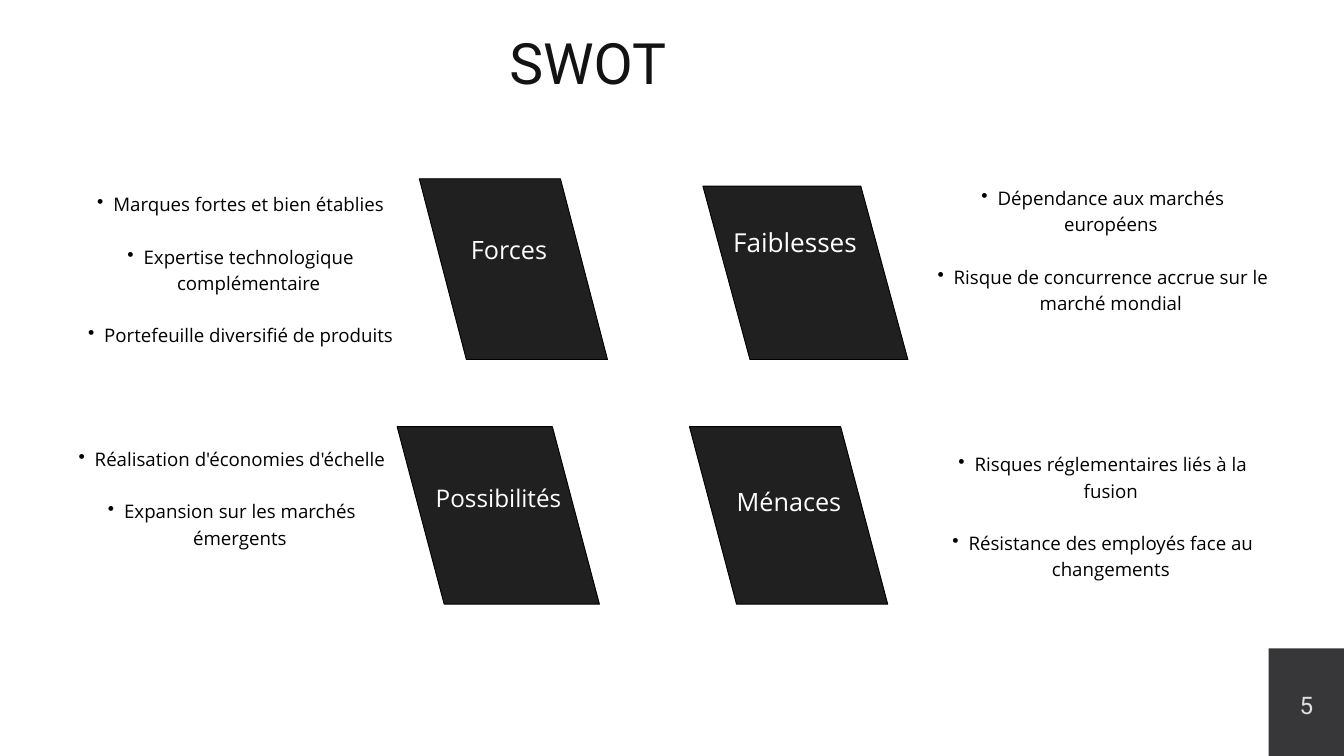
from lxml import etree
from pptx import Presentation
from pptx.dml.color import RGBColor
from pptx.enum.shapes import MSO_SHAPE
from pptx.enum.text import MSO_ANCHOR, PP_ALIGN
from pptx.oxml.ns import qn
from pptx.util import Inches, Pt

RECTANGLE = MSO_SHAPE.RECTANGLE
LEFT, CENTER = PP_ALIGN.LEFT, PP_ALIGN.CENTER
TOP, MIDDLE = MSO_ANCHOR.TOP, MSO_ANCHOR.MIDDLE

COLORS = {
    "tile": "202020",
    "outline": "000000",
    "label": "FFFFFF",
    "body": "000000",
    "title": "131313",
    "corner": "373638",
    "number": "DDDFE1",
}
COLUMNS, ROWS = 20, 11.25
SLANT = 0.7
BULLET_LEADING = 28
LABEL_LEADING = 1.4

QUADRANTS = [
    {
        "tile": (6.24, 2.66, 2.8, 2.69),
        "label": ("Forces", 27, (6.68, 3.41, 1.79, 0.51)),
        "list": (0.89, 2.82, 5.15, 3.26),
        "points": [
            "Marques fortes et bien établies",
            "Expertise technologique complémentaire",
            "Portefeuille diversifié de produits",
        ],
    },
    {
        "tile": (10.46, 2.77, 3.05, 2.58),
        "label": ("Faiblesses", 28, (10.78, 3.29, 2.1, 0.53)),
        "list": (13.72, 2.73, 5.15, 2.88),
        "points": [
            "Dépendance aux marchés européens",
            "Risque de concurrence accrue sur le marché mondial",
        ],
    },
    {
        "tile": (5.91, 6.35, 3.01, 2.64),
        "label": ("Possibilités", 26, (6.36, 7.12, 2.12, 0.49)),
        "list": (0.76, 6.61, 5.15, 2.49),
        "points": [
            "Réalisation d'économies d'échelle",
            "Expansion sur les marchés émergents",
        ],
    },
    {
        "tile": (10.26, 6.35, 2.95, 2.64),
        "label": ("Ménaces", 27, (10.78, 7.16, 1.92, 0.51)),
        "list": (13.72, 6.69, 5.15, 1.91),
        "points": [
            "Risques réglementaires liés à la fusion",
            "Résistance des employés face au changements",
        ],
    },
]


class SwotPage:
    def __init__(self, deck):
        self.column = deck.slide_width / COLUMNS
        self.row = deck.slide_height / ROWS
        self.page = deck.slides.add_slide(deck.slide_layouts[6])

    def place(self, area):
        left, top, width, height = area
        return (round(left * self.column), round(top * self.row),
                round(width * self.column), round(height * self.row))

    def paint(self, shape, fill, line=None):
        shape.shadow.inherit = False
        shape.fill.solid()
        shape.fill.fore_color.rgb = RGBColor.from_string(COLORS[fill])
        if line:
            shape.line.color.rgb = RGBColor.from_string(COLORS[line])
            shape.line.width = Pt(1)
        else:
            shape.line.fill.background()

    def tile(self, area):
        left, top, width, height = self.place(area)
        slant = round(SLANT * self.column)
        right, bottom = left + width, top + height
        outline = self.page.shapes.build_freeform(left, top)
        outline.add_line_segments(
            [(right - slant, top), (right, bottom), (left + slant, bottom)])
        self.paint(outline.convert_to_shape(), "tile", "outline")

    def block(self, area, fill):
        self.paint(self.page.shapes.add_shape(RECTANGLE, *self.place(area)), fill)

    def text(self, area, lines, size, color, leading, font="Open Sans",
             align=CENTER, anchor=TOP, inset=0, bullets=False):
        frame = self.page.shapes.add_textbox(*self.place(area)).text_frame
        frame_format = {"word_wrap": True, "vertical_anchor": anchor}
        for side in ("left", "top", "right", "bottom"):
            frame_format[f"margin_{side}"] = Inches(inset)
        for name, value in frame_format.items():
            setattr(frame, name, value)
        for index, line in enumerate(lines):
            para = frame.add_paragraph() if index else frame.paragraphs[0]
            para_format = {"alignment": align, "line_spacing": Pt(leading)}
            if index:
                para_format["space_before"] = Pt(leading)
            if bullets:
                para_format["level"] = 1
                self.bullet(para)
            for name, value in para_format.items():
                setattr(para, name, value)
            span = para.add_run()
            span.text = line
            for name, value in {"name": font, "size": Pt(size)}.items():
                setattr(span.font, name, value)
            span.font.color.rgb = RGBColor.from_string(COLORS[color])

    def bullet(self, para):
        properties = para._p.get_or_add_pPr()
        properties.set("marL", str(Inches(0.47)))
        properties.set("indent", str(Inches(-0.24)))
        etree.SubElement(properties, qn("a:buChar")).set("char", "•")


def main():
    deck = Presentation()
    deck.slide_width, deck.slide_height = Inches(COLUMNS), Inches(ROWS)
    swot = SwotPage(deck)
    for quadrant in QUADRANTS:
        label, size, area = quadrant["label"]
        swot.tile(quadrant["tile"])
        swot.text(area, [label], size, "label", size * LABEL_LEADING)
        swot.text(quadrant["list"], quadrant["points"], 20, "body",
                  BULLET_LEADING, bullets=True)
    swot.text((7.58, 0.41, 3.56, 1.01), ["SWOT"], 61.1, "title", 73.3,
              font="Roboto", align=LEFT)
    swot.block((18.88, 9.65, 1.12, 1.6), "corner")
    swot.text((18.88, 9.77, 1.12, 1.48), ["5"], 25.9, "number", 27.1,
              font="Roboto", anchor=MIDDLE, inset=0.06)
    deck.save("out.pptx")


if __name__ == "__main__":
    main()
